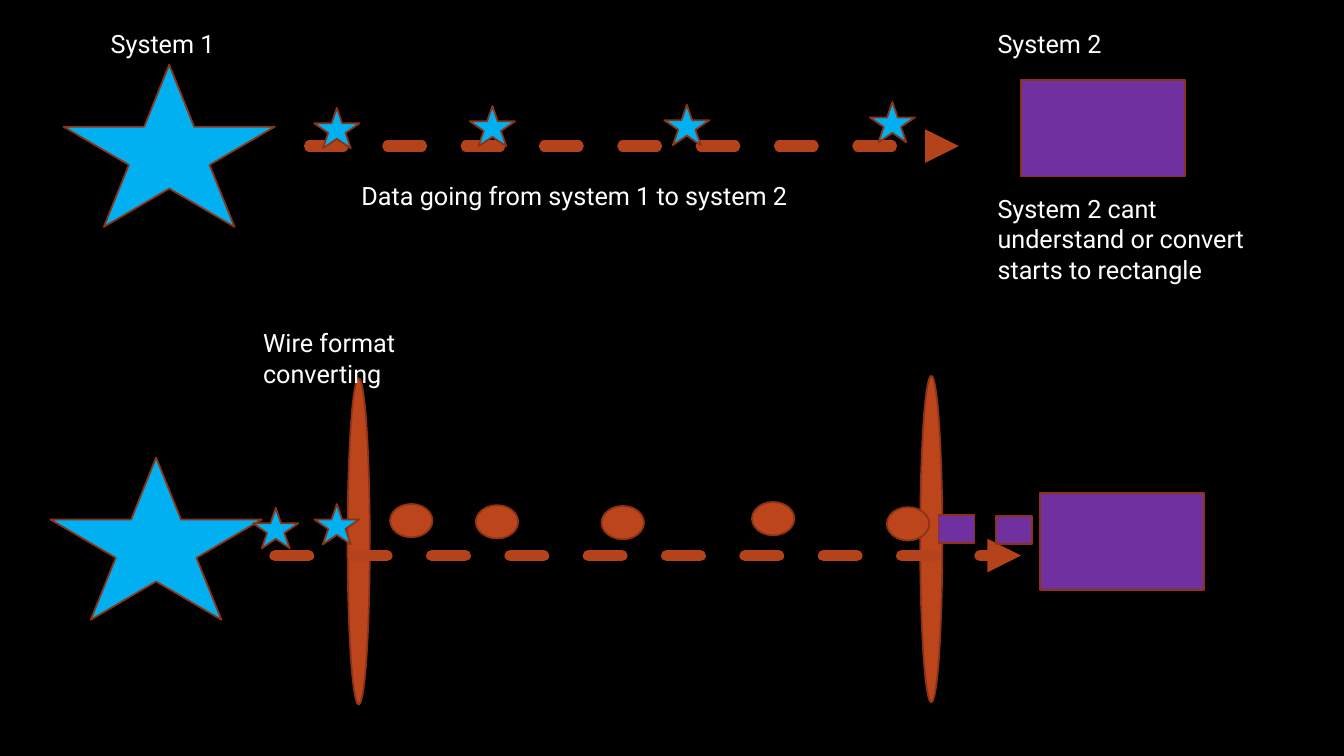
"""Draw two systems exchanging data, first directly and then through a wire format."""
from dataclasses import dataclass

from lxml import etree
from pptx import Presentation
from pptx.dml.color import RGBColor
from pptx.enum.dml import MSO_LINE
from pptx.enum.shapes import MSO_CONNECTOR, MSO_SHAPE
from pptx.enum.text import MSO_AUTO_SIZE
from pptx.oxml.ns import qn
from pptx.slide import Slide
from pptx.util import Cm, Pt

STAR = MSO_SHAPE.STAR_5_POINT
RECTANGLE = MSO_SHAPE.RECTANGLE
OVAL = MSO_SHAPE.OVAL
STRAIGHT = MSO_CONNECTOR.STRAIGHT
DASH = MSO_LINE.DASH
GROW = MSO_AUTO_SIZE.SHAPE_TO_FIT_TEXT

COLORS = {
    "background": "000000",
    "text": "FFFFFF",
    "star": "00B0F0",
    "rectangle": "7030A0",
    "wire": "BC451B",
    "arrow": "B4421A",
    "outline": "8B3314",
}


@dataclass(frozen=True)
class Kind:
    preset: MSO_SHAPE
    color: str
    width: float
    height: float


@dataclass(frozen=True)
class Figure:
    kind: Kind
    places: tuple[tuple[float, float], ...]


@dataclass(frozen=True)
class Arrow:
    start: float
    end: float
    level: float


@dataclass(frozen=True)
class Label:
    text: str
    left: float
    top: float
    width: float
    height: float = 1.03


SENDER = Kind(STAR, "star", 5.33, 4.09)
RECEIVER = Kind(RECTANGLE, "rectangle", 4.14, 2.44)
STAR_DATA = Kind(STAR, "star", 1.14, 1.02)
WIRE_DATA = Kind(OVAL, "wire", 1.07, 0.84)
RECTANGLE_DATA = Kind(RECTANGLE, "rectangle", 0.91, 0.71)
CONVERTER = Kind(OVAL, "wire", 0.56, 8.23)

ITEMS = (
    Figure(SENDER, ((1.6, 1.63),)),
    Figure(RECEIVER, ((25.73, 2.01),)),
    Arrow(7.8, 24.16, 3.68),
    Figure(STAR_DATA, ((7.92, 2.72), (11.84, 2.67), (16.74, 2.64), (21.92, 2.57))),
    Label("System 1", 2.54, 0.58, 5.38),
    Label("System 2", 24.89, 0.58, 6.78),
    Label("Data going from system 1 to system 2", 8.86, 4.42, 14.2),
    Label("System 2 cant understand or convert starts to rectangle", 24.89, 4.75, 6.78, 2.57),
    Figure(SENDER, ((1.27, 11.53),)),
    Figure(CONVERTER, ((8.76, 9.53),)),
    Label("Wire format converting", 6.38, 8.13, 6.8),
    Figure(RECEIVER, ((26.21, 12.42),)),
    Figure(CONVERTER, ((23.19, 9.47),)),
    Arrow(6.93, 25.73, 14.0),
    Figure(STAR_DATA, ((7.92, 12.7),)),
    Figure(WIRE_DATA, ((9.83, 12.7), (11.99, 12.73), (15.16, 12.75), (18.95, 12.65), (22.35, 12.78))),
    Figure(RECTANGLE_DATA, ((23.65, 12.98), (25.1, 13.0))),
    Figure(STAR_DATA, ((6.38, 12.8),)),
)


def color(name: str) -> RGBColor:
    return RGBColor.from_string(COLORS[name])


def draw_figure(page: Slide, figure: Figure) -> None:
    kind = figure.kind
    for left, top in figure.places:
        shape = page.shapes.add_shape(kind.preset, Cm(left), Cm(top), Cm(kind.width), Cm(kind.height))
        shape.shadow.inherit = False
        shape.fill.solid()
        shape.fill.fore_color.rgb = color(kind.color)
        shape.line.color.rgb = color("outline")
        shape.line.width = Pt(1.25)


def draw_arrow(page: Slide, arrow: Arrow) -> None:
    connector = page.shapes.add_connector(
        STRAIGHT, Cm(arrow.start), Cm(arrow.level), Cm(arrow.end), Cm(arrow.level)
    )
    connector.line.color.rgb = color("arrow")
    connector.line.width = Pt(8)
    connector.line.dash_style = DASH
    properties = connector.element.spPr
    outline = properties.find(qn("a:ln"))
    outline.set("cap", "rnd")
    etree.SubElement(outline, qn("a:tailEnd"), type="triangle")
    etree.SubElement(properties, qn("a:effectLst"))


def write(page: Slide, text: str, *, left: float, top: float, width: float, height: float,
          size: float = 18, font: str = "Roboto", ink: str = "text") -> None:
    box = page.shapes.add_textbox(Cm(left), Cm(top), Cm(width), Cm(height))
    frame = box.text_frame
    frame.word_wrap = True
    frame.auto_size = GROW
    span = frame.paragraphs[0].add_run()
    span.text = text
    span.font.size = Pt(size)
    span.font.name = font
    span.font.color.rgb = color(ink)


def draw(page: Slide, item: Figure | Arrow | Label) -> None:
    if isinstance(item, Figure):
        draw_figure(page, item)
    elif isinstance(item, Arrow):
        draw_arrow(page, item)
    else:
        write(page, item.text, left=item.left, top=item.top, width=item.width, height=item.height)


def main() -> None:
    deck = Presentation()
    deck.slide_width, deck.slide_height = Cm(33.87), Cm(19.05)
    page = deck.slides.add_slide(deck.slide_layouts[6])
    page.background.fill.solid()
    page.background.fill.fore_color.rgb = color("background")
    for item in ITEMS:
        draw(page, item)
    deck.save("out.pptx")


if __name__ == "__main__":
    main()
